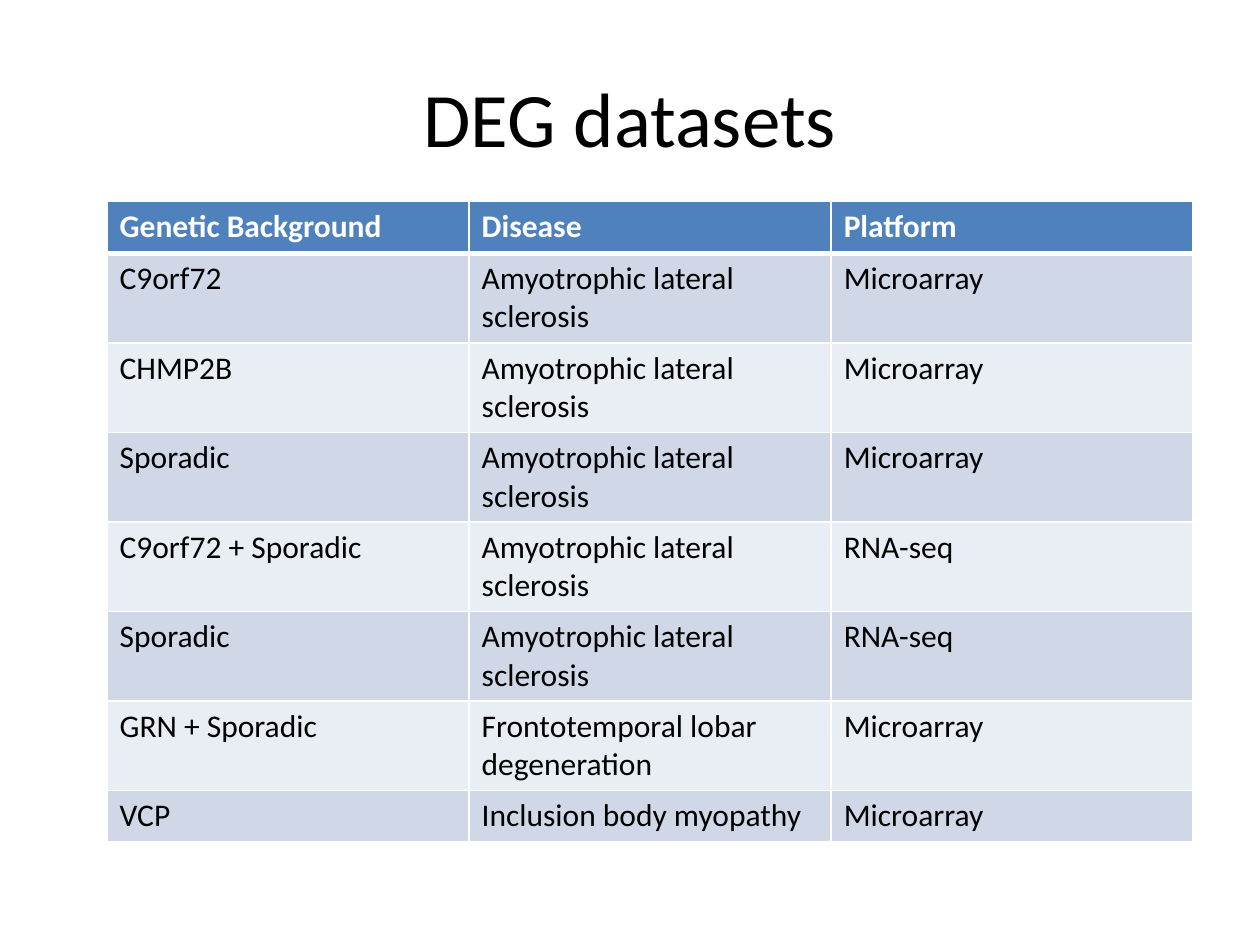
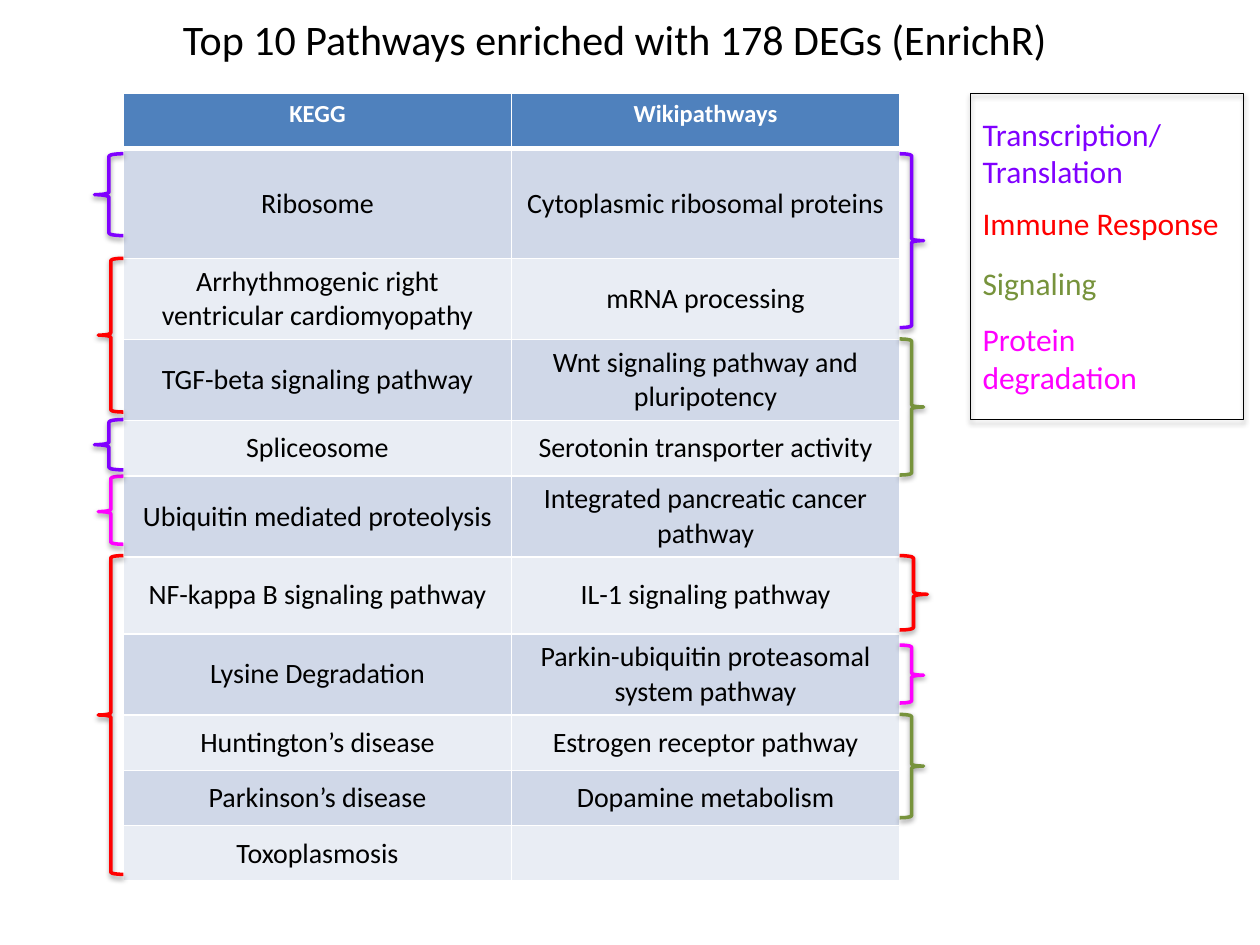
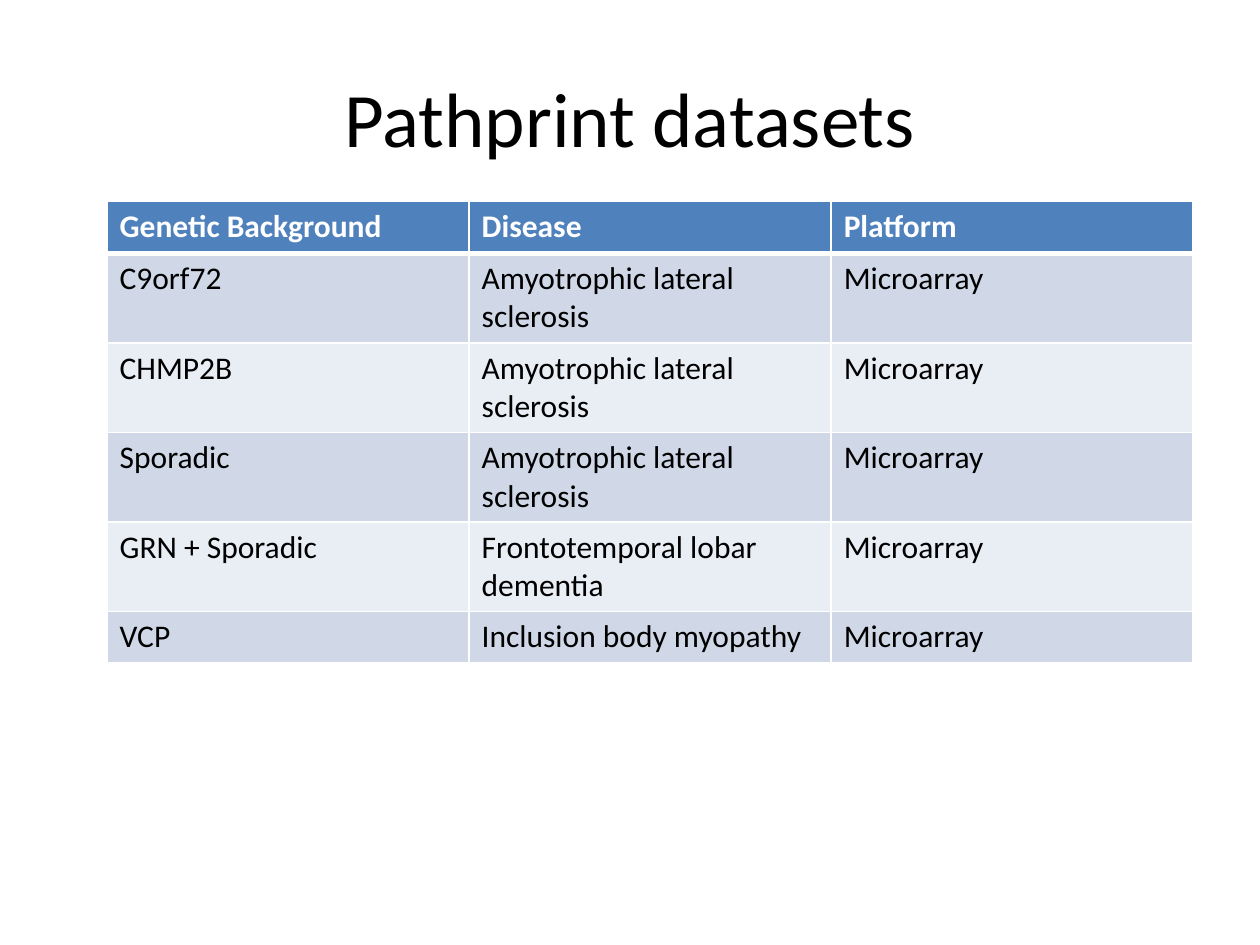
from dataclasses import dataclass

from lxml import etree
from pptx import Presentation
from pptx.dml.color import RGBColor
from pptx.enum import shapes, text
from pptx.oxml import ns
from pptx.util import Inches, Pt

# Shared style
FONT = "Calibri"
BLACK, WHITE = "000000", "FFFFFF"
HEADER_FILL, BANDS = "4F81BD", ("D0D8E8", "E9EDF4")
PURPLE, RED, GREEN, MAGENTA = "8000FF", "FF0000", "77933C", "FF00FF"
TITLE_ONLY = 5


@dataclass
class Box:
    left: float
    top: float
    width: float
    height: float

    def lengths(self) -> list:
        return [Inches(v) for v in (self.left, self.top, self.width, self.height)]


@dataclass
class TableStyle:
    header_size: int
    body_size: int
    align: text.PP_ALIGN
    body_anchor: text.MSO_ANCHOR


@dataclass
class Brace:
    top: float
    height: float
    color: str
    width: float
    on_right: bool = False
    tip: float = 0.5


@dataclass
class LegendEntry:
    label: str
    color: str
    box: Box


DATASET_STYLE = TableStyle(18, 18, text.PP_ALIGN.LEFT, text.MSO_ANCHOR.TOP)
PATHWAY_STYLE = TableStyle(14, 16, text.PP_ALIGN.CENTER, text.MSO_ANCHOR.MIDDLE)

# Dataset tables
DATASET_HEADER = ("Genetic Background", "Disease", "Platform")
ALS = "Amyotrophic lateral sclerosis"
ARRAY, SEQ = "Microarray", "RNA-seq"
ALS_ARRAYS = [(gene, ALS, ARRAY) for gene in ("C9orf72", "CHMP2B", "Sporadic")]
VCP = ("VCP", "Inclusion body myopathy", ARRAY)
DEG_ROWS = [
    DATASET_HEADER,
    *ALS_ARRAYS,
    ("C9orf72 + Sporadic", ALS, SEQ),
    ("Sporadic", ALS, SEQ),
    ("GRN + Sporadic", "Frontotemporal lobar degeneration", ARRAY),
    VCP,
]
PATHPRINT_ROWS = [
    DATASET_HEADER,
    *ALS_ARRAYS,
    ("GRN + Sporadic", "Frontotemporal lobar dementia", ARRAY),
    VCP,
]

# Pathway table, its braces and legend
PATHWAY_ROWS = [
    ("KEGG", "Wikipathways"),
    ("Ribosome", "Cytoplasmic ribosomal proteins"),
    ("Arrhythmogenic right ventricular cardiomyopathy", "mRNA processing"),
    ("TGF-beta signaling pathway", "Wnt signaling pathway and pluripotency"),
    ("Spliceosome", "Serotonin transporter activity"),
    ("Ubiquitin mediated proteolysis", "Integrated pancreatic cancer pathway"),
    ("NF-kappa B signaling pathway", "IL-1 signaling pathway"),
    ("Lysine Degradation", "Parkin-ubiquitin proteasomal system pathway"),
    ("Huntington’s disease", "Estrogen receptor pathway"),
    ("Parkinson’s disease", "Dopamine metabolism"),
    ("Toxoplasmosis", ""),
]
PATHWAY_HEIGHTS = [0.44, 0.87, 0.61, 0.61, 0.44, 0.61, 0.61, 0.61, 0.44, 0.44, 0.44]
TABLE_LEFT, TABLE_RIGHT = 0.98, 7.14
BRACES = [
    Brace(2.05, 1.22, RED, 0.2),
    Brace(4.41, 2.53, RED, 0.2),
    Brace(5.67, 0.82, GREEN, 0.19, on_right=True),
    Brace(2.69, 1.08, GREEN, 0.19, on_right=True),
    Brace(4.41, 0.59, RED, 0.22, on_right=True, tip=0.52),
    Brace(1.22, 1.38, PURPLE, 0.19, on_right=True),
    Brace(1.22, 0.65, PURPLE, 0.23),
    Brace(5.12, 0.46, MAGENTA, 0.19, on_right=True, tip=0.52),
    Brace(3.78, 0.54, MAGENTA, 0.2, tip=0.52),
    Brace(3.33, 0.4, PURPLE, 0.23),
]
LEGEND_FRAME = Box(7.7, 0.74, 2.17, 2.59)
LEGEND = [
    LegendEntry("Transcription/Translation", PURPLE, Box(7.7, 0.86, 2.3, 0.71)),
    LegendEntry("Immune Response", RED, Box(7.7, 1.57, 2.17, 0.4)),
    LegendEntry("Signaling", GREEN, Box(7.7, 2.05, 2.17, 0.4)),
    LegendEntry("Protein degradation", MAGENTA, Box(7.7, 2.49, 2.17, 0.71)),
]


def rgb(color: str) -> RGBColor:
    return RGBColor.from_string(color)


def add_run(p, content: str, size: float, color: str, bold: bool = False) -> None:
    r = p.add_run()
    r.text = content
    r.font.name, r.font.size, r.font.bold = FONT, Pt(size), bold
    r.font.color.rgb = rgb(color)


def add_titled_slide(prs, title: str, size: int = 44, box: Box = Box(0.5, 0.3, 9, 1.25)):
    s = prs.slides.add_slide(prs.slide_layouts[TITLE_ONLY])
    sp = s.shapes.title
    sp.left, sp.top, sp.width, sp.height = box.lengths()
    sp.text_frame.vertical_anchor = text.MSO_ANCHOR.MIDDLE
    p = sp.text_frame.paragraphs[0]
    p.alignment = text.PP_ALIGN.CENTER
    add_run(p, title, size, BLACK)
    return s


def sub(parent, tag: str, **attributes):
    return etree.SubElement(parent, ns.qn(tag), {k: str(v) for k, v in attributes.items()})


def set_borders(cell, top: float, bottom: float) -> None:
    tc_pr = cell._tc.get_or_add_tcPr()
    for side, width in (("L", 1), ("R", 1), ("T", top), ("B", bottom)):
        line = sub(tc_pr, f"a:ln{side}", w=int(Pt(width)))
        sub(sub(line, "a:solidFill"), "a:srgbClr", val=WHITE)


def add_grid(s, rows: list, heights: list, box: Box, style: TableStyle) -> None:
    columns = len(rows[0])
    table = s.shapes.add_table(len(rows), columns, *box.lengths()).table
    for column in table.columns:
        column.width = Inches(box.width / columns)
    for i, (labels, height) in enumerate(zip(rows, heights)):
        table.rows[i].height = Inches(height)
        header = i == 0
        for j, label in enumerate(labels):
            cell = table.cell(i, j)
            set_borders(cell, top=3 if i == 1 else 1, bottom=3 if header else 1)
            cell.fill.solid()
            cell.fill.fore_color.rgb = rgb(HEADER_FILL if header else BANDS[(i - 1) % 2])
            cell.vertical_anchor = text.MSO_ANCHOR.TOP if header else style.body_anchor
            p = cell.text_frame.paragraphs[0]
            p.alignment = style.align
            if label:
                size = style.header_size if header else style.body_size
                add_run(p, label, size, WHITE if header else BLACK, header)


def add_outline(s, preset, box: Box, color: str, width: float,
                shadow_distance: float, shadow_alpha: int):
    """Add an unfilled shape with a soft shadow falling straight down."""
    sp = s.shapes.add_shape(preset, *box.lengths())
    sp.fill.background()
    sp.line.color.rgb = rgb(color)
    sp.line.width = Pt(width)
    sp.shadow.inherit = False
    effects = sp._element.spPr.find(ns.qn("a:effectLst"))
    shadow = sub(effects, "a:outerShdw", blurRad=int(Pt(3.1)), dist=int(Pt(shadow_distance)),
                 dir=90 * 60000, rotWithShape=0)
    sub(sub(shadow, "a:srgbClr", val=BLACK), "a:alpha", val=shadow_alpha * 1000)
    return sp


def add_brace(s, brace: Brace) -> None:
    left = TABLE_RIGHT if brace.on_right else TABLE_LEFT - brace.width
    box = Box(left, brace.top, brace.width, brace.height)
    sp = add_outline(s, shapes.MSO_SHAPE.LEFT_BRACE, box, brace.color, 2, 1.6, 38)
    sp.adjustments[1] = brace.tip
    if brace.on_right:
        sp._element.spPr.xfrm.set("flipH", "1")


def add_legend_entry(s, entry: LegendEntry) -> None:
    tf = s.shapes.add_textbox(*entry.box.lengths()).text_frame
    tf.word_wrap = True
    tf.auto_size = text.MSO_AUTO_SIZE.SHAPE_TO_FIT_TEXT
    add_run(tf.paragraphs[0], entry.label, 18, entry.color)


def add_dataset_slide(prs, title: str, rows: list, height: float) -> None:
    s = add_titled_slide(prs, title)
    add_grid(s, rows, [0.41] * len(rows), Box(0.85, 1.6, 8.62, height), DATASET_STYLE)


def add_pathway_slide(prs) -> None:
    s = add_titled_slide(prs, "Top 10 Pathways enriched with 178 DEGs (EnrichR)", 24,
                         Box(0.38, -0.32, 9, 1.25))
    box = Box(TABLE_LEFT, 0.74, TABLE_RIGHT - TABLE_LEFT, 6.21)
    add_grid(s, PATHWAY_ROWS, PATHWAY_HEIGHTS, box, PATHWAY_STYLE)
    for brace in BRACES:
        add_brace(s, brace)
    add_outline(s, shapes.MSO_SHAPE.RECTANGLE, LEGEND_FRAME, BLACK, 0.75, 1.8, 35)
    for entry in LEGEND:
        add_legend_entry(s, entry)


def main() -> None:
    prs = Presentation()
    prs.slide_width, prs.slide_height = Inches(10), Inches(7.5)
    add_dataset_slide(prs, "DEG datasets", DEG_ROWS, 5.01)
    add_pathway_slide(prs)
    add_dataset_slide(prs, "Pathprint datasets", PATHPRINT_ROWS, 3.61)
    prs.save("out.pptx")


if __name__ == "__main__":
    main()
